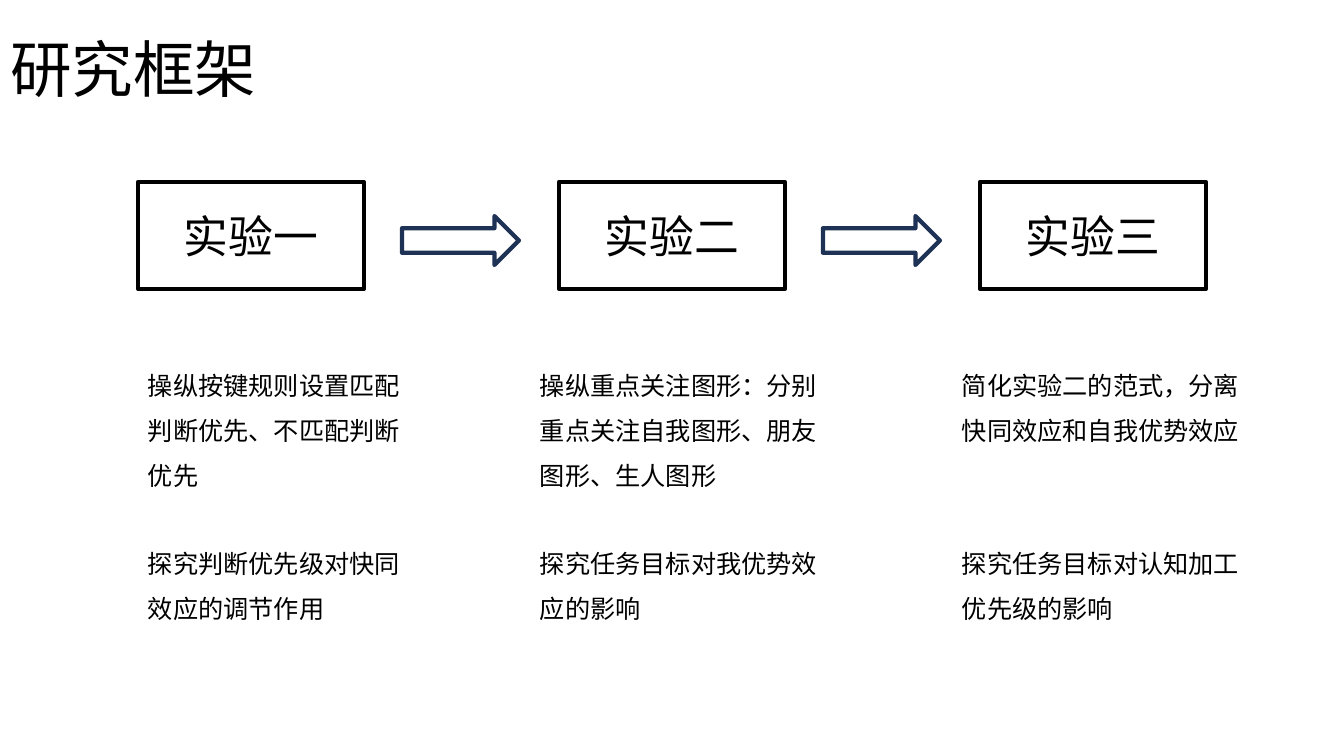
import lxml.etree
import pptx
import pptx.dml.color
import pptx.enum.shapes
import pptx.enum.text
import pptx.oxml.ns
import pptx.util

ALIGN = pptx.enum.text.PP_ALIGN
ANCHOR = pptx.enum.text.MSO_ANCHOR
AUTO_SIZE = pptx.enum.text.MSO_AUTO_SIZE
SHAPE = pptx.enum.shapes.MSO_SHAPE


def px(length):
    return pptx.util.Emu(round(length * 914400 / 100.8))


def color(value):
    return pptx.dml.color.RGBColor.from_string(value)


def write_text(frame, text, size, font, ink, align=ALIGN.LEFT,
               anchor=ANCHOR.TOP, spacing=1.0, auto_size=AUTO_SIZE.NONE):
    frame.word_wrap = True
    frame.auto_size = auto_size
    frame.vertical_anchor = anchor
    paragraph = frame.paragraphs[0]
    paragraph.alignment = align
    paragraph.line_spacing = spacing
    run = paragraph.add_run()
    run.text = text
    run.font.size = pptx.util.Pt(size)
    run.font.name = font
    run.font.color.rgb = color(ink)
    east_asian = lxml.etree.Element(pptx.oxml.ns.qn("a:ea"), typeface=font)
    run.font._element.find(pptx.oxml.ns.qn("a:latin")).addnext(east_asian)


class FrameworkSlide:
    font = "Noto Sans CJK SC"
    ink = "000000"
    paper = "FFFFFF"
    arrow_ink = "1E3256"
    line_width = 3

    def __init__(self, presentation):
        self.slide = presentation.slides.add_slide(presentation.slide_layouts[5])
        self.flow = self.slide.shapes.add_group_shape()

    def title(self, text, left, top, width, height):
        shape = self.slide.shapes.title
        shape.left, shape.top, shape.width, shape.height = map(px, (left, top, width, height))
        write_text(shape.text_frame, text, 44, self.font, self.ink,
                   anchor=ANCHOR.MIDDLE, spacing=0.9)

    def outline(self, kind, line, left, top, width, height):
        shape = self.flow.shapes.add_shape(kind, *map(px, (left, top, width, height)))
        shape.shadow.inherit = False
        shape.fill.solid()
        shape.fill.fore_color.rgb = color(self.paper)
        shape.line.color.rgb = color(line)
        shape.line.width = pptx.util.Pt(self.line_width)
        return shape

    def box(self, text, left, top, width, height):
        shape = self.outline(SHAPE.RECTANGLE, self.ink, left, top, width, height)
        write_text(shape.text_frame, text, 32, self.font, self.ink,
                   align=ALIGN.CENTER, anchor=ANCHOR.MIDDLE)

    def arrow(self, left, top, width, height):
        self.outline(SHAPE.RIGHT_ARROW, self.arrow_ink, left, top, width, height)

    def note(self, text, left, top, width, height):
        shape = self.slide.shapes.add_textbox(*map(px, (left, top, width, height)))
        write_text(shape.text_frame, text, 18, self.font, self.ink, spacing=1.5,
                   auto_size=AUTO_SIZE.SHAPE_TO_FIT_TEXT)


EXPERIMENTS = [
    ("实验一", 138, 284, "操纵按键规则设置匹配判断优先、不匹配判断优先",
     "探究判断优先级对快同效应的调节作用"),
    ("实验二", 530, 303, "操纵重点关注图形：分别重点关注自我图形、朋友图形、生人图形",
     "探究任务目标对我优势效应的影响"),
    ("实验三", 952, 300, "简化实验二的范式，分离快同效应和自我优势效应",
     "探究任务目标对认知加工优先级的影响"),
]
PITCH = 421


def main():
    presentation = pptx.Presentation()
    presentation.slide_width = px(1344)
    presentation.slide_height = px(756)
    framework = FrameworkSlide(presentation)
    framework.title("研究框架", 0, 0, 1159, 146)
    for index, (name, note_left, note_width, method, aim) in enumerate(EXPERIMENTS):
        if index:
            framework.arrow(402 + (index - 1) * PITCH, 216, 117, 49)
        framework.box(name, 138 + index * PITCH, 182, 226, 107)
        framework.note(method, note_left, 350, note_width, 142)
        framework.note(aim, note_left, 528, note_width, 97)
    presentation.save("out.pptx")


if __name__ == "__main__":
    main()
